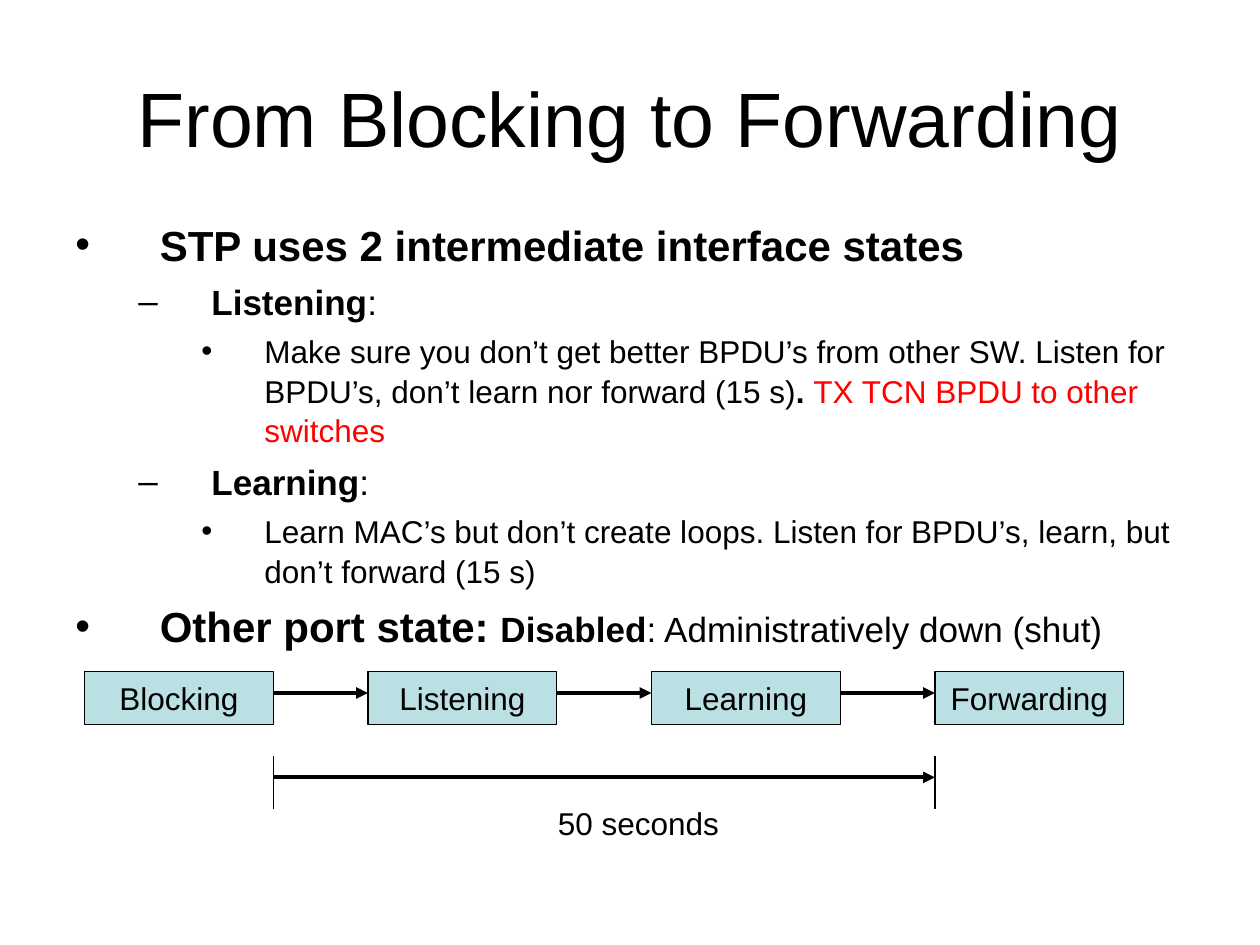
from dataclasses import dataclass

from lxml.etree import SubElement
from pptx import Presentation
from pptx.dml.color import RGBColor
from pptx.enum.shapes import MSO_CONNECTOR, MSO_SHAPE
from pptx.enum.text import MSO_ANCHOR, PP_ALIGN
from pptx.oxml.ns import qn
from pptx.util import Inches, Pt


@dataclass(frozen=True)
class Theme:
    font: str = "Arial"
    ink: str = "000000"
    accent: str = "FF0000"
    box: str = "BBE0E3"
    title: int = 44
    heading: int = 24
    sub: int = 20
    text: int = 18
    thin: float = 0.75
    thick: float = 2.25


T = Theme()
LEVELS = [("•", 0.67, 0.67), ("–", 1.08, 0.58), ("•", 1.5, 0.5)]
STATES = ["Blocking", "Listening", "Learning", "Forwarding"]
POINTS = [
    (0, 6, [("STP uses 2 intermediate interface states", T.heading, True)]),
    (1, 5, [("Listening", T.sub, True), (":", T.sub)]),
    (2, 4.5, [
        ("Make sure you don’t get better BPDU’s from other SW. Listen for "
         "BPDU’s, don’t learn nor forward (15 s)", T.text),
        (". ", T.text, True),
        ("TX TCN BPDU to other switches", T.text, False, T.accent),
    ]),
    (1, 5, [("Learning", T.sub, True), (":", T.sub)]),
    (2, 4.5, [("Learn MAC’s but don’t create loops. Listen for BPDU’s, learn, "
               "but don’t forward (15 s)", T.text)]),
    (0, 5, [("Other port state: ", T.heading, True), ("Disabled", T.sub, True),
            (": Administratively down (shut)", T.sub)]),
]


def add_run(p, text, size=T.text, bold=False, color=T.ink):
    r = p.add_run()
    r.text = text
    r.font.name = T.font
    r.font.size = Pt(size)
    r.font.bold = bold
    r.font.color.rgb = RGBColor.from_string(color)


def add_text(s, box, text="", size=T.text, align=PP_ALIGN.LEFT,
             anchor=MSO_ANCHOR.TOP):
    tf = s.shapes.add_textbox(*map(Inches, box)).text_frame
    tf.word_wrap = True
    tf.vertical_anchor = anchor
    if text:
        tf.paragraphs[0].alignment = align
        add_run(tf.paragraphs[0], text, size)
    return tf


def add_bullet(p, level):
    char, left, hang = LEVELS[level]
    p.level = level
    pPr = p._p.get_or_add_pPr()
    pPr.set("marL", str(Inches(left)))
    pPr.set("indent", str(-Inches(hang)))
    color = SubElement(pPr, qn("a:buClr"))
    SubElement(color, qn("a:srgbClr"), val=T.ink)
    SubElement(pPr, qn("a:buFont"), typeface=T.font)
    SubElement(pPr, qn("a:buChar"), char=char)


def add_line(s, x1, y1, x2, y2, width=T.thin, arrow=False):
    line = s.shapes.add_connector(MSO_CONNECTOR.STRAIGHT,
                                  *map(Inches, (x1, y1, x2, y2)))
    line.line.color.rgb = RGBColor.from_string(T.ink)
    line.line.width = Pt(width)
    if arrow:
        SubElement(line.line._get_or_add_ln(), qn("a:tailEnd"), type="triangle")
    SubElement(line._element.spPr, qn("a:effectLst"))


def add_state(s, box, name):
    sp = s.shapes.add_shape(MSO_SHAPE.RECTANGLE, *map(Inches, box))
    sp.shadow.inherit = False
    sp.fill.solid()
    sp.fill.fore_color.rgb = RGBColor.from_string(T.box)
    sp.line.color.rgb = RGBColor.from_string(T.ink)
    sp.line.width = Pt(T.thin)
    tf = sp.text_frame
    tf.word_wrap = False
    tf.vertical_anchor = MSO_ANCHOR.MIDDLE
    tf.paragraphs[0].alignment = PP_ALIGN.CENTER
    add_run(tf.paragraphs[0], name)


def add_points(s, box):
    tf = add_text(s, box)
    for i, (level, before, runs) in enumerate(POINTS):
        p = tf.add_paragraph() if i else tf.paragraphs[0]
        p.space_before = Pt(before)
        p.line_spacing = 1.05
        add_bullet(p, level)
        for run in runs:
            add_run(p, *run)


def add_state_chain(s, box, state_width=1.5):
    x, y, w, h = box
    step = (w - state_width) / (len(STATES) - 1)
    for i, name in enumerate(STATES):
        left = x + i * step
        add_state(s, (left, y, state_width, h), name)
        if i:
            add_line(s, left - step + state_width, y + 0.17, left, y + 0.17,
                     T.thick, arrow=True)


def add_duration(s, box):
    x, y, w, h = box
    for end in (x, x + w):
        add_line(s, end, y, end, y + h)
    add_line(s, x, y + 0.17, x + w, y + 0.17, T.thick, arrow=True)
    add_text(s, (x + 2.16, y + 0.33, 1.58, 0.4), "50 seconds")


def main():
    prs = Presentation()
    prs.slide_width, prs.slide_height = Inches(10), Inches(7.5)
    s = prs.slides.add_slide(prs.slide_layouts[6])
    add_text(s, (0.5, 0.3, 9, 1.25), "From Blocking to Forwarding", T.title,
             PP_ALIGN.CENTER, MSO_ANCHOR.MIDDLE)
    add_points(s, (0.5, 1.67, 9, 3.67))
    add_state_chain(s, (0.67, 5.33, 8.25, 0.42))
    add_duration(s, (2.17, 6, 5.25, 0.42))
    prs.save("out.pptx")


if __name__ == "__main__":
    main()
